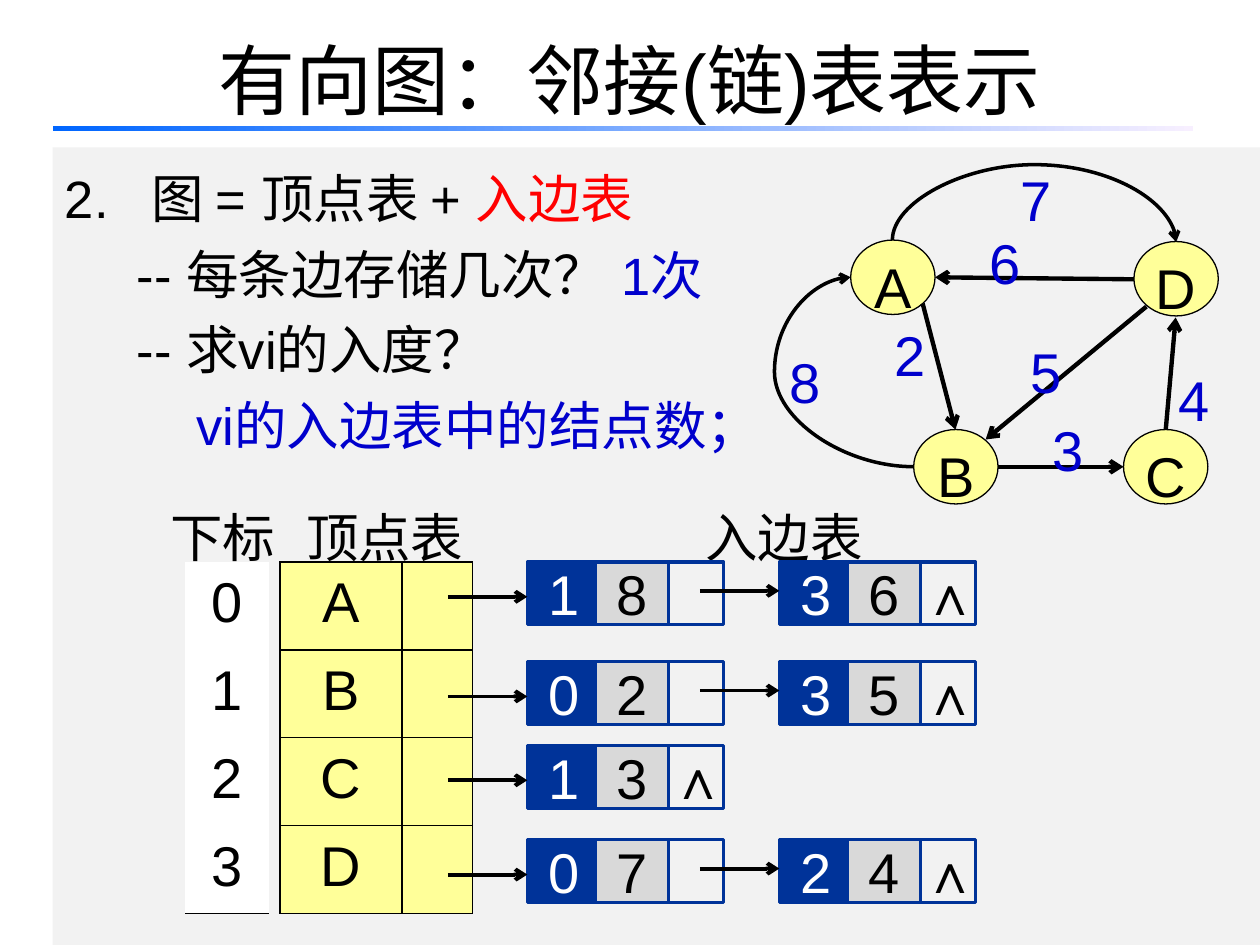
import pptx
import pptx.dml.color
import pptx.enum.shapes
import pptx.enum.text
import pptx.oxml
import pptx.oxml.ns
import pptx.util
from dataclasses import dataclass

Cm = pptx.util.Cm
Pt = pptx.util.Pt
SHAPE = pptx.enum.shapes.MSO_SHAPE
CONNECTOR = pptx.enum.shapes.MSO_CONNECTOR
ALIGN = pptx.enum.text.PP_ALIGN
ANCHOR = pptx.enum.text.MSO_ANCHOR


@dataclass(frozen=True)
class Theme:
    font: str = "Arial"
    title: float = 44
    body: float = 30
    symbol: float = 32
    black: str = "000000"
    white: str = "FFFFFF"
    panel: str = "F2F2F2"
    red: str = "FF0000"
    blue: str = "0000CC"
    navy: str = "003399"
    grey: str = "D9D9D9"
    yellow: str = "FFFF99"
    rule_start: str = "0066FF"
    rule_end: str = "F7EFFF"


THEME = Theme()


def rgb(value):
    return pptx.dml.color.RGBColor.from_string(value)


def write(paragraph, text, *, size=THEME.symbol, color=THEME.black, bold=False,
          align=None, spacing=None, left=0, hanging=0):
    """Fill a paragraph; text is a string or a list of (string, colour) runs."""
    properties = paragraph._p.get_or_add_pPr()
    if left or hanging:
        properties.set("marL", str(Cm(left)))
        properties.set("indent", str(-Cm(hanging)))
    paragraph.alignment = align
    paragraph.line_spacing = spacing
    for words, run_color in [(text, color)] if isinstance(text, str) else text:
        run = paragraph.add_run()
        run.text = words
        run.font.name = THEME.font
        run.font.size = Pt(size)
        run.font.bold = bold
        run.font.color.rgb = rgb(run_color)


class SlideBuilder:
    def __init__(self, slide, theme):
        self.slide = slide
        self.theme = theme

    def shape(self, kind, left, top, width, height, fill=None, line=None, weight=1.75):
        shape = self.slide.shapes.add_shape(kind, Cm(left), Cm(top), Cm(width), Cm(height))
        shape.shadow.inherit = False
        if fill:
            shape.fill.solid()
            shape.fill.fore_color.rgb = rgb(fill)
        else:
            shape.fill.background()
        if line:
            shape.line.color.rgb = rgb(line)
            shape.line.width = Pt(weight)
        else:
            shape.line.fill.background()
        return shape

    def symbol(self, shape, text, **style):
        """Centre a short text on a shape."""
        frame = shape.text_frame
        frame.word_wrap = False
        frame.vertical_anchor = ANCHOR.MIDDLE
        write(frame.paragraphs[0], text, align=ALIGN.CENTER, **style)

    def label(self, text, left, top, width, height, anchor=ANCHOR.TOP, **style):
        box = self.slide.shapes.add_textbox(Cm(left), Cm(top), Cm(width), Cm(height))
        box.text_frame.word_wrap = True
        box.text_frame.vertical_anchor = anchor
        write(box.text_frame.paragraphs[0], text, **style)

    def panel(self, left, top, width, height, lines):
        frame = self.shape(SHAPE.RECTANGLE, left, top, width, height, self.theme.panel).text_frame
        frame.word_wrap = True
        frame.vertical_anchor = ANCHOR.TOP
        for number, (text, indents) in enumerate(lines):
            paragraph = frame.add_paragraph() if number else frame.paragraphs[0]
            write(paragraph, text, size=self.theme.body, align=ALIGN.LEFT, spacing=1.2, **indents)

    def gradient_rule(self, left, top, width, height):
        fill = self.shape(SHAPE.RECTANGLE, left, top, width, height).fill
        fill.gradient()
        fill.gradient_angle = 0
        ends = (self.theme.rule_start, self.theme.rule_end)
        for position, (stop, color) in enumerate(zip(fill.gradient_stops, ends)):
            stop.color.rgb = rgb(color)
            stop.position = position

    def arrow(self, start, end, weight, bend=None, turn=0):
        """Straight arrow, or a curve whose middle lies at bend times its width."""
        kind = CONNECTOR.STRAIGHT if bend is None else CONNECTOR.CURVE
        arrow = self.slide.shapes.add_connector(kind, *map(Cm, (*start, *end)))
        arrow.line.color.rgb = rgb(self.theme.black)
        arrow.line.width = Pt(weight)
        make = pptx.oxml.ns.qn
        head = arrow.line._get_or_add_ln().makeelement(make("a:tailEnd"), {"type": "arrow"})
        arrow.line._get_or_add_ln().append(head)
        properties = arrow._element.spPr
        properties.append(properties.makeelement(make("a:effectLst"), {}))
        if bend is not None:
            guides = properties.find(make("a:prstGeom")).get_or_add_avLst()
            guides.append(guides.makeelement(
                make("a:gd"), {"name": "adj1", "fmla": f"val {round(bend * 100000)}"}))
            properties.find(make("a:xfrm")).set("rot", str(turn * 60000))

    def table(self, left, top, widths, row_height, rows, fill, sides):
        """Table of centred symbols with black lines on the given sides of each cell."""
        table = self.slide.shapes.add_table(
            len(rows), len(widths), Cm(left), Cm(top),
            Cm(sum(widths)), Cm(row_height * len(rows))).table
        table.first_row = table.horz_banding = False
        for column, width in zip(table.columns, widths):
            column.width = Cm(width)
        for row, texts in zip(table.rows, rows):
            row.height = Cm(row_height)
            for cell, text in zip(row.cells, texts):
                cell.vertical_anchor = ANCHOR.MIDDLE
                if text:
                    write(cell.text_frame.paragraphs[0], text, align=ALIGN.CENTER, spacing=0.9)
                self.borders(cell, sides)
                cell.fill.solid()
                cell.fill.fore_color.rgb = rgb(fill)

    def borders(self, cell, sides):
        namespace = pptx.oxml.ns.nsdecls("a")
        for side in "LRTB":
            paint = (f'<a:solidFill><a:srgbClr val="{self.theme.black}"/></a:solidFill>'
                     if side in sides else "<a:noFill/>")
            cell._tc.get_or_add_tcPr().append(pptx.oxml.parse_xml(
                f'<a:ln{side} {namespace} w="12700">{paint}</a:ln{side}>'))

    def edge_node(self, left, top, source, weight, is_last):
        """Linked-list node: source index, edge weight and next pointer."""
        theme = self.theme
        pointer = self.shape(SHAPE.RECTANGLE, left + 2.64, top, 1.32, 1.27, line=theme.navy)
        if is_last:
            self.symbol(pointer, " ∧", bold=True)
        for text, offset, fill, color in ((source, 0, theme.navy, theme.white),
                                          (weight, 1.37, theme.grey, theme.black)):
            part = self.shape(SHAPE.RECTANGLE, left + offset, top, 1.47, 1.27, fill, theme.navy)
            self.symbol(part, text, color=color)

    def vertex(self, name, left, top):
        circle = self.shape(SHAPE.OVAL, left, top, 1.7, 1.5, self.theme.yellow,
                            self.theme.black, 0.75)
        self.symbol(circle, name, spacing=1.25)


def draw_adjacency_lists(builder):
    row_height, top = 1.77, 11.33
    builder.table(5.64, top, [2.46, 1.42], row_height, [(name, "") for name in "ABCD"],
                  THEME.yellow, "LRTB")
    builder.table(3.73, top, [1.7], row_height, list("0123"), THEME.white, "B")
    for text, left, width in (("下标", 3.18, 3.18), ("顶点表", 5.92, 4.29), ("入边表", 13.97, 4.98)):
        builder.label(text, left, 9.73, width, 1.47, size=THEME.body, spacing=1.25)

    incoming = ((11.33, ("18", "36")), (13.34, ("02", "35")),
                (15.03, ("13",)), (16.93, ("07", "24")))
    for node_top, edges in incoming:
        for position, (source, weight) in enumerate(edges):
            left = 10.63 + 5.08 * position
            builder.edge_node(left, node_top, source, weight, position == len(edges) - 1)
            arrow_y = node_top + (0.58 if position else 0.7)
            builder.arrow((left - 1.6, arrow_y), (left, arrow_y), 2.25)


def draw_graph(builder):
    for name, left, top in (("A", 17.15, 4.84), ("D", 22.86, 4.87),
                            ("B", 18.42, 8.66), ("C", 22.65, 8.66)):
        builder.vertex(name, left, top)
    for start, end in (((22.86, 5.63), (18.85, 5.59)), ((23.5, 8.66), (23.7, 6.4)),
                       ((18.6, 6.12), (19.26, 8.66)), ((23.11, 6.18), (19.87, 8.86)),
                       ((20.12, 9.41), (22.65, 9.41))):
        builder.arrow(start, end, 2.5)
    builder.arrow((20.87, 2), (20.83, 7.72), 2, bend=-38, turn=270)
    builder.arrow((18.42, 9.41), (17.15, 5.59), 2, bend=2.21)
    for weight, left, top in (("6", 19.69, 4.14), ("4", 23.5, 6.91), ("5", 20.53, 6.35),
                              ("3", 20.96, 7.92), ("2", 17.78, 6), ("7", 20.32, 2.87),
                              ("8", 15.67, 6.55)):
        builder.label(weight, left, top, 1.9, 1.8, color=THEME.blue, spacing=1.25)


def main():
    deck = pptx.Presentation()
    deck.slide_width, deck.slide_height = Cm(25.4), Cm(19.05)
    builder = SlideBuilder(deck.slides.add_slide(deck.slide_layouts[6]), THEME)
    builder.panel(1.06, 2.97, 24.34, 16.08, [
        ([("2.\t图 = 顶点表 + ", THEME.black), ("入边表", THEME.red)], dict(left=1.75, hanging=1.75)),
        ("-- 每条边存储几次？", dict(left=1.45)),
        ("-- 求vi的入度？", dict(left=1.45)),
        ([("vi的入边表中的结点数；", THEME.blue)], dict(left=2.65)),
    ])
    builder.label("有向图：邻接(链)表表示", 1.27, 0, 22.86, 3.18, ANCHOR.MIDDLE,
                  size=THEME.title, align=ALIGN.CENTER)
    builder.gradient_rule(1.06, 2.54, 22.99, 0.1)
    builder.label("1次", 12.27, 4.45, 3.6, 1.7, size=THEME.body, color=THEME.blue, spacing=1.25)
    draw_adjacency_lists(builder)
    draw_graph(builder)
    deck.save("out.pptx")


if __name__ == "__main__":
    main()
